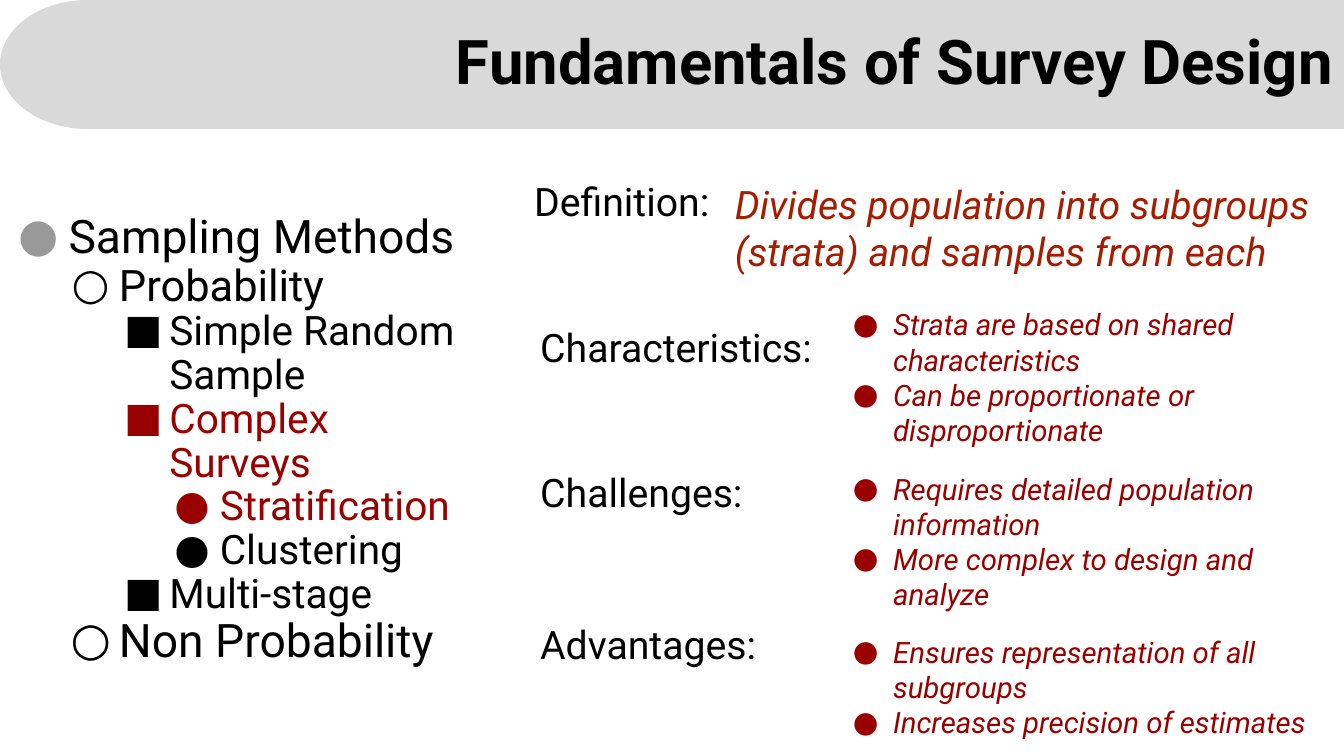
from lxml.etree import SubElement
from pptx import Presentation
from pptx.dml.color import RGBColor
from pptx.enum.shapes import MSO_SHAPE
from pptx.enum.text import MSO_ANCHOR, MSO_AUTO_SIZE, PP_ALIGN
from pptx.oxml.ns import qn
from pptx.util import Inches, Pt

FONT = "Roboto"
COLORS = {"black": "000000", "banner": "D9D9D9", "gray": "999999",
          "crimson": "990000", "rust": "A61C00"}

# Level, text, size, hanging indent, text colour, bullet colour
OUTLINE = [
    (0, "Sampling Methods", 33, 0.5, "black", "gray"),
    (1, "Probability", 31, 0.47, "black", "black"),
    (2, "Simple Random Sample", 29, 0.45, "black", "black"),
    (2, "Complex Surveys", 29, 0.45, "crimson", "crimson"),
    (3, "Stratification", 29, 0.45, "crimson", "crimson"),
    (3, "Clustering", 29, 0.45, "black", "black"),
    (2, "Multi-stage", 29, 0.45, "black", "black"),
    (1, "Non Probability", 33, 0.48, "black", "black"),
]
OUTLINE_BULLETS = "●○■●"

DEFINITION = "Divides population into subgroups (strata) and samples from each"

# Label, label top, list top, list height, points
ASPECTS = [
    ("Characteristics:", 3.11, 2.94, 1.62,
     ["Strata are based on shared characteristics",
      "Can be proportionate or disproportionate"]),
    ("Challenges:", 4.55, 4.57, 1.62,
     ["Requires detailed population information",
      "More complex to design and analyze"]),
    ("Advantages:", 6.05, 6.19, 1.26,
     ["Ensures representation of all subgroups",
      "Increases precision of estimates"]),
]


def rgb(color):
    return RGBColor.from_string(COLORS[color])


def place(shape, left, top, width, height):
    shape.left, shape.top = Inches(left), Inches(top)
    shape.width, shape.height = Inches(width), Inches(height)


def prepare_frame(shape, anchor=MSO_ANCHOR.TOP):
    frame = shape.text_frame
    frame.word_wrap = True
    frame.auto_size = MSO_AUTO_SIZE.NONE
    frame.vertical_anchor = anchor
    frame.margin_left = frame.margin_right = Inches(0.1)
    frame.margin_top = frame.margin_bottom = Inches(0.1)
    return frame


def add_text_frame(slide, left, top, width, height):
    return prepare_frame(slide.shapes.add_textbox(
        Inches(left), Inches(top), Inches(width), Inches(height)))


def next_paragraph(frame, index):
    return frame.add_paragraph() if index else frame.paragraphs[0]


def add_run(paragraph, text, size, color, bold=False, italic=False):
    run = paragraph.add_run()
    run.text = text
    font = run.font
    font.name, font.size = FONT, Pt(size)
    font.bold, font.italic = bold, italic
    font.color.rgb = rgb(color)


def set_bullet(paragraph, symbol, color, margin, hanging):
    properties = paragraph._p.get_or_add_pPr()
    properties.set("marL", str(Inches(margin)))
    properties.set("indent", str(-Inches(hanging)))
    bullet_color = SubElement(properties, qn("a:buClr"))
    SubElement(bullet_color, qn("a:srgbClr"), val=COLORS[color])
    SubElement(properties, qn("a:buFont"), typeface=FONT)
    SubElement(properties, qn("a:buChar"), char=symbol)


def build_banner(slide, width, height):
    # Rounded left end and straight band, kept behind the title
    title = slide.shapes.title
    end_width = 1.74
    band_left = 0.89
    banner = slide.shapes.add_group_shape()
    for preset, left, part_width in (
            (MSO_SHAPE.OVAL, 0, end_width),
            (MSO_SHAPE.RECTANGLE, band_left, width - band_left)):
        part = banner.shapes.add_shape(
            preset, Inches(left), 0, Inches(part_width), Inches(height))
        part.shadow.inherit = False
        part.fill.solid()
        part.fill.fore_color.rgb = rgb("banner")
        part.line.fill.background()
    title.element.addprevious(banner.element)

    # Title
    place(title, 1.41, 0.22, width - 1.41, height - 0.44)
    heading = prepare_frame(title, MSO_ANCHOR.MIDDLE).paragraphs[0]
    heading.alignment = PP_ALIGN.RIGHT
    heading.line_spacing = 0.9
    add_run(heading, "Fundamentals of Survey Design", 44, "black", bold=True)


def build_outline(slide, left, top, width, height):
    body = slide.placeholders[1]
    place(body, left, top, width, height)
    frame = prepare_frame(body)
    for index, (level, text, size, hanging, color, mark) in enumerate(OUTLINE):
        paragraph = next_paragraph(frame, index)
        paragraph.level = level
        paragraph.line_spacing = 0.9
        paragraph.space_before = Pt(0)
        set_bullet(paragraph, OUTLINE_BULLETS[level], mark,
                   0.5 * (level + 1), hanging)
        add_run(paragraph, text, size, color)


def build_label(slide, left, top, text):
    frame = add_text_frame(slide, left, top, 7.74, 1.28)
    add_run(frame.paragraphs[0], text, 28, "black")


def build_definition(slide, left, top, width):
    build_label(slide, left, top, "Definition:")
    offset = 1.99
    frame = add_text_frame(slide, left + offset, top + 0.03,
                           width - offset, 1.17)
    add_run(frame.paragraphs[0], DEFINITION, 28, "rust", italic=True)


def build_aspects(slide, left, width):
    offset = 3
    for label, label_top, list_top, list_height, points in ASPECTS:
        build_label(slide, left, label_top, label)
        frame = add_text_frame(slide, left + offset, list_top,
                               width - offset, list_height)
        for index, point in enumerate(points):
            paragraph = next_paragraph(frame, index)
            set_bullet(paragraph, "●", "crimson", 0.5, 0.4)
            add_run(paragraph, point, 21, "crimson", italic=True)


def main():
    deck = Presentation()
    deck.slide_width, deck.slide_height = Inches(13.33), Inches(7.5)
    slide = deck.slides.add_slide(deck.slide_layouts[1])
    build_banner(slide, 13.33, 1.28)
    build_outline(slide, 0.08, 2.02, 4.73, 4.96)
    build_definition(slide, 5.2, 1.66, 8.13)
    build_aspects(slide, 5.26, 8.07)
    deck.save("out.pptx")


if __name__ == "__main__":
    main()
